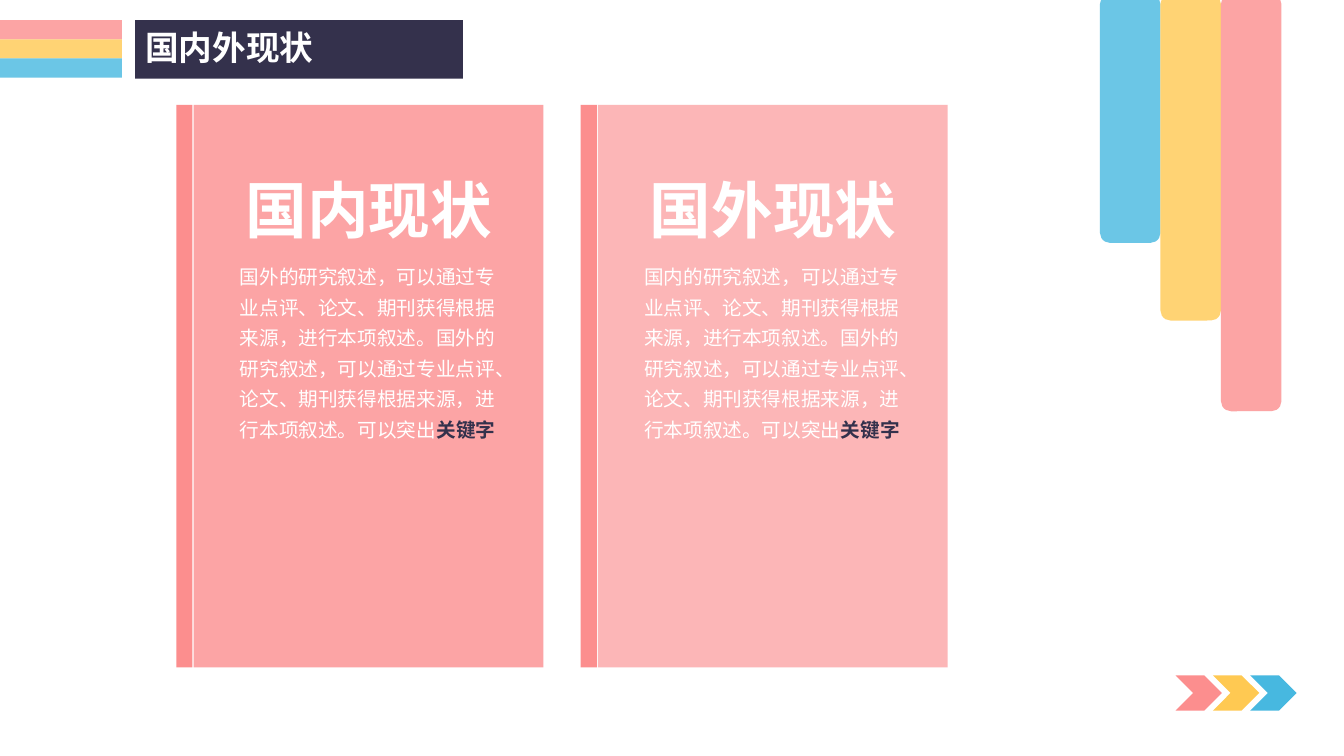
"""Build the slide on the state of research at home and abroad."""
from pptx import Presentation
from pptx import util as u
from pptx.dml.color import RGBColor
from pptx.enum import shapes, text
from pptx.oxml.ns import qn
from lxml import etree

WHITE = RGBColor(0xFF, 0xFF, 0xFF)
NAVY = RGBColor(0x34, 0x31, 0x4C)
BLUE = RGBColor(0x47, 0xB8, 0xE0)
GOLD = RGBColor(0xFF, 0xC9, 0x52)
CORAL = RGBColor(0xFC, 0x8E, 0x8E)
PINK = RGBColor(0xFC, 0xA4, 0xA5)

SANS = "Noto Sans CJK SC"
KIND = shapes.MSO_SHAPE
ALIGN = text.PP_ALIGN
ANCHOR = text.MSO_ANCHOR
FIT = text.MSO_AUTO_SIZE


class Deck:
    def __init__(self):
        self.show = Presentation()
        self.show.slide_width = u.Inches(13.33)
        self.show.slide_height = u.Inches(7.5)
        self.slide = self.show.slides.add_slide(self.show.slide_layouts[5])
        self.styles = {
            "title": {"size": u.Pt(24), "bold": True, "name": SANS},
            "head": {"size": u.Pt(44), "bold": True, "name": "Calibri"},
            "body": {"size": u.Pt(14), "bold": False, "name": SANS},
            "key": {"size": u.Pt(14), "bold": True, "name": SANS},
        }

    def fill(self, shape, color, alpha=100):
        shape.fill.solid()
        shape.fill.fore_color.rgb = color
        if alpha < 100:
            tint = shape.element.spPr.find(".//" + qn("a:srgbClr"))
            etree.SubElement(tint, qn("a:alpha"), val=str(alpha * 1000))

    def shape(self, kind, box, color, alpha=100):
        shape = self.slide.shapes.add_shape(kind, *map(u.Inches, box))
        shape.shadow.inherit = False
        shape.line.fill.background()
        self.fill(shape, color, alpha)

    def phrase(self, para, words, style, color=WHITE):
        run = para.add_run()
        run.text = words
        for key, val in self.styles[style].items():
            setattr(run.font, key, val)
        run.font.color.rgb = color
        etree.SubElement(run.font._rPr, qn("a:ea"), typeface=SANS)

    def title(self, box, words):
        title = self.slide.shapes.title
        for key, val in zip(("left", "top", "width", "height"), box):
            setattr(title, key, u.Inches(val))
        self.fill(title, NAVY)
        frame = title.text_frame
        form = {"vertical_anchor": ANCHOR.MIDDLE, "word_wrap": True,
                "auto_size": FIT.NONE}
        for key, val in form.items():
            setattr(frame, key, val)
        para = frame.paragraphs[0]
        para.alignment = ALIGN.LEFT
        para.line_spacing = 0.9
        self.phrase(para, words, "title")

    def label(self, box, runs, align=ALIGN.LEFT, wrap=True):
        frame = self.slide.shapes.add_textbox(*map(u.Inches, box)).text_frame
        frame.word_wrap = wrap
        frame.auto_size = FIT.SHAPE_TO_FIT_TEXT
        para = frame.paragraphs[0]
        para.alignment = align
        para.line_spacing = 1.3
        for run in runs:
            self.phrase(para, *run)

    def card(self, left, head, place, alpha):
        top = 1.04
        self.shape(KIND.RECTANGLE, (left + 0.17, top, 3.47, 5.58), PINK, alpha)
        body = (f"{place}的研究叙述，可以通过专业点评、论文、期刊获得根据来源，"
                "进行本项叙述。国外的研究叙述，可以通过专业点评、论文、"
                "期刊获得根据来源，进行本项叙述。可以突出")
        self.label((left + 0.53, top + 1.47, 2.75, 2.25),
                   [(body, "body"), ("关键字", "key", NAVY)])
        self.label((left + 0.54, top + 0.4, 2.74, 0.99),
                   [(head, "head")], ALIGN.CENTER, False)
        self.shape(KIND.RECTANGLE, (left, top, 0.16, 5.58), CORAL)


def main():
    deck = Deck()
    for i, color in enumerate((CORAL, GOLD, BLUE)):
        deck.shape(KIND.RECTANGLE, (0, 0.2 + 0.19 * i, 1.21, 0.19), color, 80)
        deck.shape(KIND.CHEVRON, (11.66 + 0.37 * i, 6.7, 0.46, 0.35), color)
    for i, (color, tall) in enumerate(
            ((BLUE, 2.47), (GOLD, 3.24), (CORAL, 4.14))):
        deck.shape(KIND.ROUNDED_RECTANGLE,
                   (10.91 + 0.6 * i, -0.06, 0.6, tall), color, 80)
    deck.title((1.34, 0.2, 3.25, 0.58), "国内外现状")
    deck.card(1.75, "国内现状", "国外", 100)
    deck.card(5.76, "国外现状", "国内", 80)
    deck.show.save("out.pptx")


if __name__ == "__main__":
    main()
